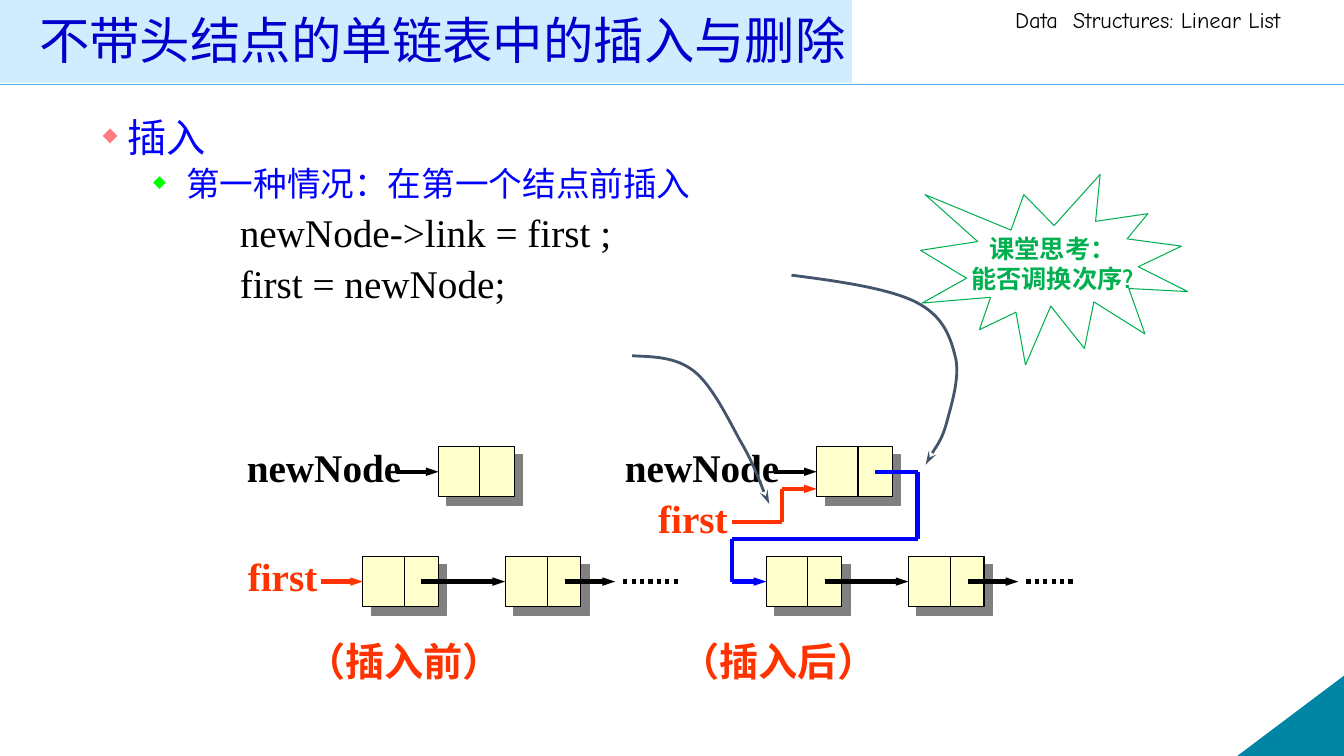
from itertools import pairwise

from lxml.etree import SubElement
from pptx import Presentation
from pptx.dml.color import RGBColor
from pptx.enum.dml import MSO_LINE
from pptx.enum.shapes import MSO_CONNECTOR, MSO_SHAPE
from pptx.enum.text import MSO_ANCHOR, PP_ALIGN
from pptx.oxml.ns import qn
from pptx.util import Pt

PX = 9144
SERIF, CJK = "Times New Roman", "Noto Sans CJK SC"
COLORS = {
    "black": "000000", "red": "FF3300", "blue": "0000FF", "title": "0000CC",
    "band": "CFEDFE", "rule": "5AAAED", "corner": "0085A4", "cell": "FFFFCC",
    "shade": "808080", "slate": "44546A", "green": "00B050",
    "pink": "FF7C80", "lime": "00FF00",
}


def child(parent, tag, **attributes):
    return SubElement(parent, qn(tag), attributes)


class ListSlide:
    def __init__(self, deck):
        self.shapes = deck.slides.add_slide(deck.slide_layouts[6]).shapes

    def color(self, name):
        return RGBColor.from_string(COLORS[name])

    def outline(self, item, color, width, head=None):
        item.line.color.rgb = self.color(color)
        item.line.width = Pt(width)
        if head:
            kind, breadth, length = head
            child(item._element.spPr.find(qn("a:ln")), "a:tailEnd",
                  type=kind, w=breadth, len=length)

    def shape(self, preset, left, top, width, height, fill=None, line=None):
        item = self.shapes.add_shape(preset, left * PX, top * PX, width * PX, height * PX)
        item.shadow.inherit = False
        if fill:
            item.fill.solid()
            item.fill.fore_color.rgb = self.color(fill)
        else:
            item.fill.background()
        if line:
            self.outline(item, line, 0.75)
        else:
            item.line.fill.background()
        return item

    def line(self, start, end, color, width=3, arrow=False, target=None, dotted=False):
        item = self.shapes.add_connector(
            MSO_CONNECTOR.STRAIGHT, *(value * PX for value in (*start, *end)))
        if target:
            item.end_connect(target, 1)
        self.outline(item, color, width, ("triangle", "sm", "med") if arrow else None)
        if dotted:
            item.line.dash_style = MSO_LINE.ROUND_DOT
        child(item._element.spPr, "a:effectLst")

    def route(self, points, color, target=None):
        legs = list(pairwise(points))
        for start, end in legs[:-1]:
            self.line(start, end, color)
        self.line(*legs[-1], color, arrow=True, target=target)

    def curve(self, start, *controls):
        builder = self.shapes.build_freeform(*start, scale=PX)
        builder.add_line_segments(controls, close=False)
        item = builder.convert_to_shape()
        item.shadow.inherit = False
        item.fill.background()
        self.outline(item, "slate", 2, ("stealth", "med", "lg"))
        outline = item._element.spPr.find(".//" + qn("a:path"))
        segments = outline.findall(qn("a:lnTo"))
        for index in range(0, len(segments), 3):
            bezier = child(outline, "a:cubicBezTo")
            for segment in segments[index:index + 3]:
                bezier.append(segment[0])
                outline.remove(segment)

    def node(self, left, top, divider=41):
        cell = self.shape(MSO_SHAPE.RECTANGLE, left, top, 75, 50, "cell", "black")
        shadow = child(cell._element.spPr.find(qn("a:effectLst")), "a:outerShdw",
                       blurRad="0", dist="107950", dir="2700000", algn="ctr", rotWithShape="0")
        child(shadow, "a:srgbClr", val=COLORS["shade"])
        self.line((left + divider, top), (left + divider, top + 50), "black", 0.75)
        return cell

    def box(self, left, top, width, height):
        frame = self.shapes.add_textbox(left * PX, top * PX, width * PX, height * PX).text_frame
        frame.word_wrap = True
        return frame

    def add_words(self, paragraph, wording, size, color, font=SERIF, bold=False):
        run = paragraph.add_run()
        run.text = wording
        run.font.size = Pt(size)
        run.font.name = font
        run.font.bold = bold
        run.font.color.rgb = self.color(color)
        child(run._r.get_or_add_rPr(), "a:ea", typeface=CJK)

    def label(self, left, top, width, wording, color):
        frame = self.box(left, top, width, 57)
        self.add_words(frame.paragraphs[0], wording, 28, color, bold=True)

    def indent(self, paragraph, margin, hanging=0, bullet=None):
        properties = paragraph._p.get_or_add_pPr()
        properties.set("marL", str(margin * PX))
        properties.set("indent", str(-hanging * PX))
        if bullet:
            child(child(properties, "a:buClr"), "a:srgbClr", val=COLORS[bullet])
            child(properties, "a:buSzPct", val="50000")
            child(properties, "a:buChar", char="◆")
        else:
            child(properties, "a:buNone")


def draw_header(page):
    page.line((0, 84), (1333, 84), "rule", 1)
    corner = page.shape(MSO_SHAPE.RIGHT_TRIANGLE, 1228, 671, 105, 79, "corner", "corner")
    corner._element.spPr.find(qn("a:xfrm")).set("flipH", "1")
    course = page.box(997, 1, 336, 37)
    page.add_words(course.paragraphs[0], "Data  Structures: Linear List", 16, "black", "Comic Neue")
    page.shape(MSO_SHAPE.RECTANGLE, 0, 0, 845, 82, "band")
    title = page.box(29, 5, 1150, 75)
    title.vertical_anchor = MSO_ANCHOR.MIDDLE
    title.paragraphs[0].line_spacing = 0.9
    page.add_words(title.paragraphs[0], "不带头结点的单链表中的插入与删除", 36, "title", CJK)


def draw_body(page):
    body = page.box(92, 108, 1150, 210)
    outline = [
        ("插入", 28, "blue", 25, 25, "pink", 0, 1),
        ("第一种情况：在第一个结点前插入", 24, "blue", 83, 33, "lime", 5, 0.9),
        ("newNode->link = first ;", 28, "black", 136, 0, None, 3, 1),
        ("first = newNode;", 28, "black", 136, 0, None, 3, 1),
    ]
    for index, (wording, size, color, margin, hanging, bullet, before, spacing) in enumerate(outline):
        paragraph = body.add_paragraph() if index else body.paragraphs[0]
        page.indent(paragraph, margin, hanging, bullet)
        if before:
            paragraph.space_before = Pt(before)
        paragraph.line_spacing = spacing
        page.add_words(paragraph, wording, size, color)


def draw_lists(page):
    for left, dots_end in ((360, 676), (760, 1068)):
        head = page.node(left, 552)
        following = page.node(left + 141, 552, 42)
        page.line((left + 58, 577), (left + 141, 577), "black", arrow=True, target=following)
        page.line((left + 200, 577), (left + 250, 577), "black", arrow=True)
        page.line((left + 258, 577), (dots_end, 577), "black", dotted=True)
        if left == 360:
            page.line((318, 577), (360, 577), "red", arrow=True, target=head)
        else:
            page.route([(868, 468), (910, 468), (910, 535), (726, 535), (726, 577), (760, 577)],
                       "blue", head)
    for left in (435, 810):
        new_node = page.node(left, 443)
        page.line((left - 42, 468), (left, 468), "black", arrow=True, target=new_node)
        page.label(left - 200, 435, 180, "newNode", "black")
    page.line((868, 468), (910, 468), "blue")
    page.route([(726, 518), (776, 518), (776, 485), (810, 485)], "red")
    page.label(236, 543, 100, "first", "red")
    page.label(643, 485, 100, "first", "red")
    page.label(294, 627, 225, "（插入前）", "red")
    page.label(665, 627, 225, "（插入后）", "red")


def draw_question(page):
    page.curve((785, 273), (832, 279), (880, 286), (907, 299), (934, 312), (942, 332), (947, 352),
               (953, 372), (944, 400), (939, 419), (934, 437), (921, 454), (918, 461))
    page.curve((627, 353), (648, 354), (670, 354), (688, 368), (706, 382), (722, 415), (734, 437),
               (747, 459), (758, 490), (763, 500))
    burst = page.shape(MSO_SHAPE.EXPLOSION1, 913, 173, 265, 189, line="green").text_frame
    burst.word_wrap = False
    burst.vertical_anchor = MSO_ANCHOR.MIDDLE
    for index, wording in enumerate(("课堂思考：", "能否调换次序?")):
        paragraph = burst.add_paragraph() if index else burst.paragraphs[0]
        paragraph.alignment = PP_ALIGN.CENTER
        page.add_words(paragraph, wording, 18, "green", "Cabin", True)


def main():
    deck = Presentation()
    deck.slide_width, deck.slide_height = 1333 * PX, 750 * PX
    page = ListSlide(deck)
    draw_header(page)
    draw_body(page)
    draw_lists(page)
    draw_question(page)
    deck.save("out.pptx")


if __name__ == "__main__":
    main()
